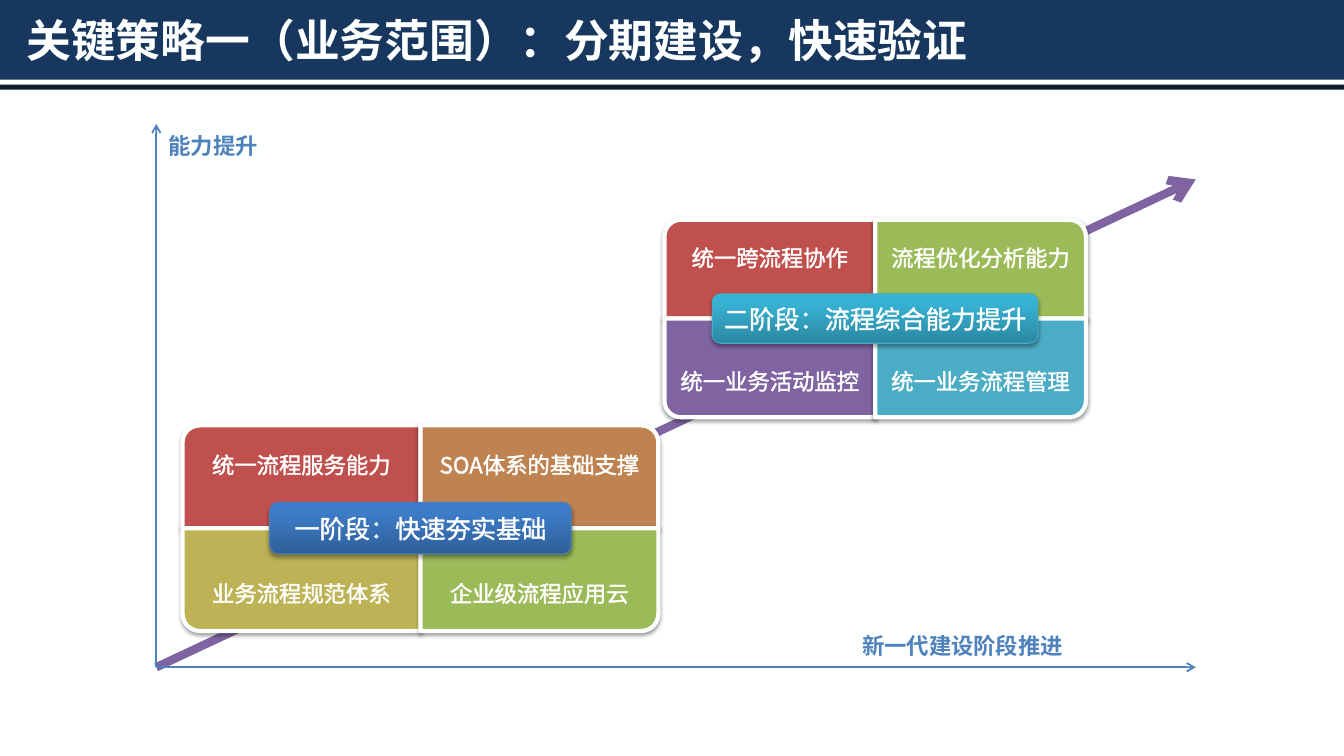
"""Build a slide showing two construction stages along a rising capability arrow."""
from dataclasses import dataclass

from lxml import etree
from pptx import Presentation
from pptx.dml.color import RGBColor
from pptx.enum.shapes import MSO_CONNECTOR, MSO_SHAPE
from pptx.enum.text import MSO_ANCHOR, MSO_AUTO_SIZE, PP_ALIGN
from pptx.oxml.ns import qn
from pptx.util import Emu, Pt

RECT, ROUND = MSO_SHAPE.RECTANGLE, MSO_SHAPE.ROUNDED_RECTANGLE
ROUND_ONE = MSO_SHAPE.ROUND_1_RECTANGLE
STRAIGHT = MSO_CONNECTOR.STRAIGHT
MIDDLE, NO_FIT = MSO_ANCHOR.MIDDLE, MSO_AUTO_SIZE.NONE
LEFT, CENTER = PP_ALIGN.LEFT, PP_ALIGN.CENTER
EMU_PER_PX = 9144
FONT = "Noto Sans CJK SC"
PAPER, WHITE, AXIS = "FEFFFF", "FFFFFF", "4F81BD"
ROTATIONS = (270, 0, 180, 90)


@dataclass
class Quadrant:
    text: str
    color: str


@dataclass
class Stage:
    x: int
    y: int
    cell_w: int
    cell_h: int
    quadrants: list[Quadrant]
    badge: str
    badge_w: int
    gradient: dict[int, str]
    badge_line: str


@dataclass
class Arrow:
    end: tuple[int, int]
    color: str
    width: float


@dataclass
class Label:
    text: str
    x: int
    y: int
    w: int


STAGES = [
    Stage(181, 422, 236, 102,
          [Quadrant("统一流程服务能力", "C0504D"), Quadrant("SOA体系的基础支撑", "BE8351"),
           Quadrant("业务流程规范体系", "BDB255"), Quadrant("企业级流程应用云", "9BBB59")],
          "一阶段：快速夯实基础", 299, {0: "2F5F99", 80: "3D7CC7", 100: "3A7CCB"}, "4B7EBC"),
    Stage(659, 218, 209, 98,
          [Quadrant("统一跨流程协作", "C0504D"), Quadrant("流程优化分析能力", "9BBB59"),
           Quadrant("统一业务活动监控", "8064A2"), Quadrant("统一业务流程管理", "4BACC6")],
          "二阶段：流程综合能力提升", 323, {0: "2A88A2", 80: "37B1D2", 100: "34B4D6"}, "46AAC5"),
]
ORIGIN = (155, 662)
TREND = Arrow((1186, 178), "8064A2", 6)
AXES = [Arrow((155, 123), AXIS, 1.25), Arrow((1186, 662), AXIS, 1.25)]
LABELS = [Label("能力提升", 167, 131, 91), Label("新一代建设阶段推进", 855, 627, 202)]


def px(*values: float) -> list[Emu]:
    return [Emu(round(v * EMU_PER_PX)) for v in values]


def rgb(color: str) -> RGBColor:
    return RGBColor.from_string(color)


def add_xml(parent, tag: str, **attrs):
    return etree.SubElement(parent, qn(tag), {k: str(v) for k, v in attrs.items()})


def add_color(parent, color: str):
    return add_xml(parent, "a:srgbClr", val=color)


def write(sp, text: str, size: int, color: str, align=CENTER, bold: bool = False,
          outline: bool = False, inset: int | None = 0, spacing: int | None = None) -> None:
    tf = sp.text_frame
    tf.auto_size = NO_FIT
    tf.vertical_anchor = MIDDLE
    if inset is not None:
        tf.margin_left, tf.margin_top, tf.margin_right, tf.margin_bottom = px(*[inset] * 4)
    p = tf.paragraphs[0]
    p.text = text
    p.alignment = align
    if spacing:
        p.line_spacing = Pt(spacing)
    p.font.name, p.font.size, p.font.bold = FONT, Pt(size), bold
    p.font.color.rgb = rgb(color)
    props = p._p.pPr.find(qn("a:defRPr"))
    add_xml(props, "a:ea", typeface=FONT)
    if outline:
        ln = add_xml(props, "a:ln", w=Pt(1.45))
        add_color(add_xml(ln, "a:solidFill"), color)
        props.insert(0, ln)


def add_box(shapes, kind, x: float, y: float, w: float, h: float, fill: str):
    sp = shapes.add_shape(kind, *px(x, y, w, h))
    sp.shadow.inherit = False
    sp.fill.solid()
    sp.fill.fore_color.rgb = rgb(fill)
    sp.line.fill.background()
    return sp


def set_line(sp, color: str, width: float) -> None:
    sp.line.color.rgb = rgb(color)
    sp.line.width = Pt(width)


def add_shadow(sp, opacity: int, distance: float) -> None:
    effects = sp._element.spPr.find(qn("a:effectLst"))
    shadow = add_xml(effects, "a:outerShdw", blurRad=Pt(3.1), dist=Pt(distance),
                     dir=5400000, rotWithShape=0)
    add_xml(add_color(shadow, "000000"), "a:alpha", val=opacity * 1000)


def set_gradient(sp, stops: dict[int, str]) -> None:
    sp.fill.gradient()
    grad = sp._element.spPr.find(qn("a:gradFill"))
    for child in list(grad):
        grad.remove(child)
    gs_list = add_xml(grad, "a:gsLst")
    for pos, color in stops.items():
        add_color(add_xml(gs_list, "a:gs", pos=pos * 1000), color)
    add_xml(grad, "a:lin", ang=16200000, scaled=0)


def add_arrow(s, arrow: Arrow) -> None:
    line = s.shapes.add_connector(STRAIGHT, *px(*ORIGIN, *arrow.end))
    set_line(line, arrow.color, arrow.width)
    add_xml(line.line._get_or_add_ln(), "a:tailEnd", type="arrow")
    add_xml(line._element.spPr, "a:effectLst")


def add_stage(s, stage: Stage) -> None:
    shapes = s.shapes.add_group_shape().shapes
    w, h = stage.cell_w, stage.cell_h
    for i, quadrant in enumerate(stage.quadrants):
        row, col = divmod(i, 2)
        x, y = stage.x + col * w, stage.y + row * h
        rotation = ROTATIONS[i]
        box_w, box_h = (h, w) if rotation % 180 else (w, h)
        sp = add_box(shapes, ROUND_ONE, x + (w - box_w) / 2, y + (h - box_h) / 2,
                     box_w, box_h, quadrant.color)
        sp.rotation = rotation
        set_line(sp, PAPER, 3)
        add_shadow(sp, 38, 1.6)
        text_box = shapes.add_textbox(*px(x, y + row * h / 4, w, h * 3 / 4))
        text_box.text_frame.word_wrap = True
        write(text_box, quadrant.text, 16, WHITE, outline=True, inset=12, spacing=20)
    badge_h = h / 2
    badge = add_box(shapes, ROUND, stage.x + w - stage.badge_w / 2,
                    stage.y + h - badge_h / 2, stage.badge_w, badge_h, stage.badge_line)
    set_gradient(badge, stage.gradient)
    set_line(badge, stage.badge_line, 0.75)
    add_shadow(badge, 35, 1.8)
    write(badge, stage.badge, 18, WHITE, outline=True)


def add_label(s, label: Label) -> None:
    box = s.shapes.add_textbox(*px(label.x, label.y, label.w, 27))
    box.text_frame.word_wrap = False
    write(box, label.text, 16, AXIS, align=LEFT, bold=True)


def main() -> None:
    prs = Presentation()
    prs.slide_width, prs.slide_height = px(1333, 750)
    s = prs.slides.add_slide(prs.slide_layouts[5])
    s.background.fill.solid()
    s.background.fill.fore_color.rgb = rgb(PAPER)
    add_box(s.shapes, RECT, 0, 0, 1333, 79, "17375E")
    add_box(s.shapes, RECT, 0, 84, 1333, 5, "0C1B2F")
    add_arrow(s, TREND)
    title = s.shapes.title
    title.left, title.top, title.width, title.height = px(16, 9, 1302, 60)
    write(title, "关键策略一（业务范围）：分期建设，快速验证", 32, PAPER,
          align=LEFT, bold=True, inset=None)
    s.shapes._spTree.append(title._element)
    for stage in STAGES:
        add_stage(s, stage)
    for axis in AXES:
        add_arrow(s, axis)
    for label in LABELS:
        add_label(s, label)
    prs.save("out.pptx")


if __name__ == "__main__":
    main()
